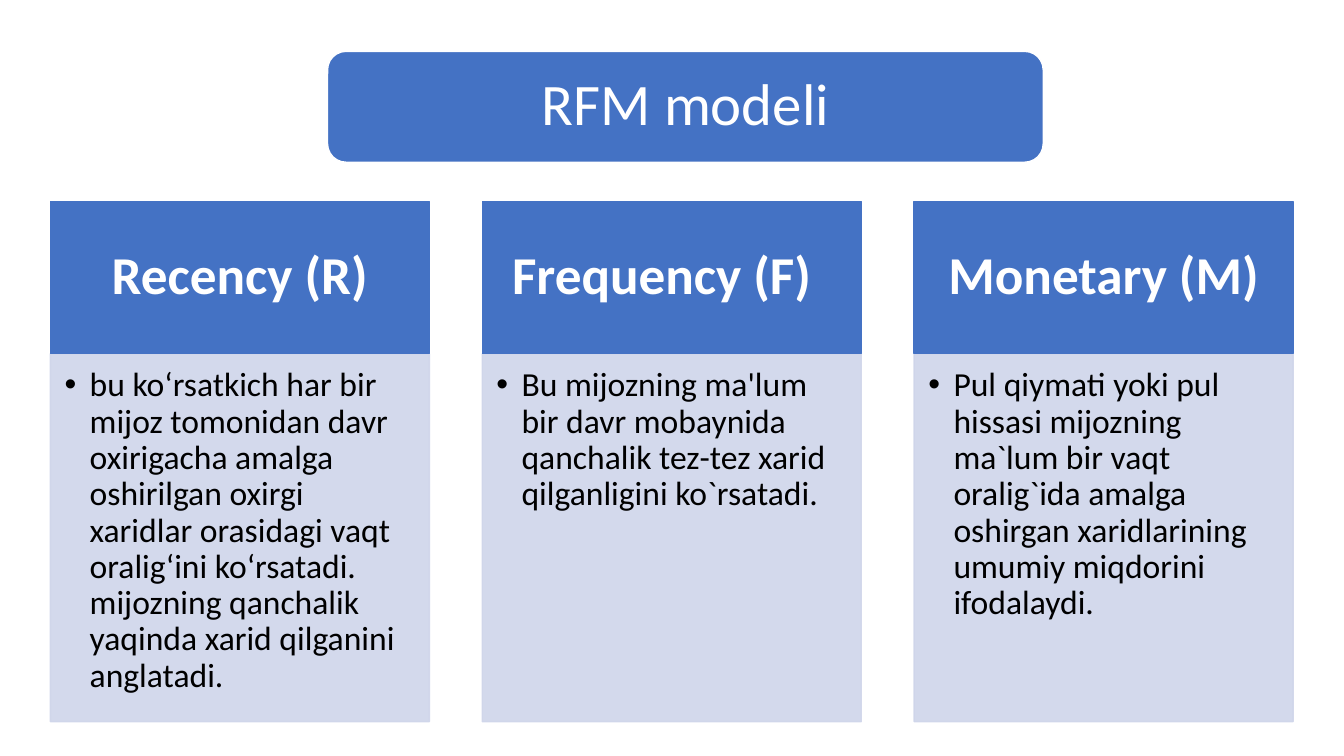
import pptx
import pptx.dml.color
import pptx.enum.shapes
import pptx.enum.text
import pptx.oxml
import pptx.oxml.ns
import pptx.util

Pt = pptx.util.Pt
RGBColor = pptx.dml.color.RGBColor
PP_ALIGN = pptx.enum.text.PP_ALIGN
ANCHOR = pptx.enum.text.MSO_ANCHOR
SHAPE = pptx.enum.shapes.MSO_SHAPE

BLUE = RGBColor(0x44, 0x72, 0xC4)
PALE_BLUE = RGBColor(0xCF, 0xD5, 0xEA)
WHITE = RGBColor(0xFF, 0xFF, 0xFF)
BLACK = RGBColor(0, 0, 0)

COMPARISON_LAYOUT = 4
TITLE_BOX = (234, 36.7, 511.2, 79.2)
COLUMNS_BOX = (36, 144, 887.7, 371.5)
COLUMN_GAP = 37.8
HEAD_HEIGHT = 108.7
LIST_OPACITY = 90

TITLE_FORMAT = {
    "font": {"size": Pt(42), "bold": False, "name": "Calibri"},
    "color": WHITE, "align": PP_ALIGN.CENTER, "anchor": ANCHOR.MIDDLE,
    "insets": (12.2, 12.2, 12.2, 12.2),
}
HEAD_FORMAT = {
    "font": {"size": Pt(38), "bold": True, "name": "Calibri"},
    "color": WHITE, "align": PP_ALIGN.CENTER, "anchor": ANCHOR.MIDDLE,
    "insets": (21.3, 12.2, 21.3, 12.2),
}
LIST_FORMAT = {
    "font": {"size": Pt(24), "bold": False, "name": "Calibri"},
    "color": BLACK, "align": PP_ALIGN.LEFT, "anchor": ANCHOR.TOP,
    "insets": (10.1, 10.1, 13.5, 15.2),
}

MEASURES = [
    ("Recency (R)",
     "bu ko‘rsatkich har bir mijoz tomonidan davr oxirigacha amalga oshirilgan "
     "oxirgi xaridlar orasidagi vaqt oralig‘ini ko‘rsatadi. mijozning qanchalik "
     "yaqinda xarid qilganini anglatadi."),
    ("Frequency (F) \t",
     "Bu mijozning ma'lum bir davr mobaynida qanchalik tez-tez xarid "
     "qilganligini ko`rsatadi."),
    ("Monetary (M)",
     "Pul qiymati yoki pul hissasi mijozning ma`lum bir vaqt oralig`ida amalga "
     "oshirgan xaridlarining umumiy miqdorini ifodalaydi."),
]


def place(shape, box):
    for side, length in zip(("left", "top", "width", "height"), box):
        setattr(shape, side, Pt(length))


def paint(shape, fill, line):
    shape.fill.solid()
    shape.fill.fore_color.rgb = fill
    shape.line.color.rgb = line
    shape.line.width = Pt(1)


def write(shape, text, style):
    frame = shape.text_frame
    frame.word_wrap = True
    frame.auto_size = pptx.enum.text.MSO_AUTO_SIZE.NONE
    frame.vertical_anchor = style["anchor"]
    for side, inset in zip(("left", "top", "right", "bottom"), style["insets"]):
        setattr(frame, f"margin_{side}", Pt(inset))
    paragraph = frame.paragraphs[0]
    for name, value in {"alignment": style["align"], "line_spacing": 0.9,
                        "space_before": Pt(0), "space_after": Pt(0)}.items():
        setattr(paragraph, name, value)
    run = paragraph.add_run()
    run.text = text
    for name, value in style["font"].items():
        setattr(run.font, name, value)
    run.font.color.rgb = style["color"]


def add_bullet(paragraph, indent):
    properties = paragraph._p.get_or_add_pPr()
    properties.set("marL", str(Pt(indent)))
    properties.set("indent", str(-Pt(indent)))
    namespace = pptx.oxml.ns.nsdecls("a")
    for bullet in ('a:buFont {} typeface="Arial"', 'a:buChar {} char="•"'):
        properties.append(pptx.oxml.parse_xml(f"<{bullet.format(namespace)}/>"))


def set_opacity(shape, percent):
    """Make both the fill and the outline partly transparent."""
    for color in shape._element.spPr.iter(pptx.oxml.ns.qn("a:srgbClr")):
        color.append(pptx.oxml.parse_xml(
            f'<a:alpha {pptx.oxml.ns.nsdecls("a")} val="{percent * 1000}"/>'))


def add_panel(slide, kind, box, line):
    panel = slide.shapes.add_shape(kind, *map(Pt, box))
    panel.shadow.inherit = False
    paint(panel, BLUE, line)
    return panel


def build_title(slide, box):
    plate = add_panel(slide, SHAPE.ROUNDED_RECTANGLE, box, WHITE)
    title = slide.shapes.title
    place(title, box)
    write(title, "RFM modeli", TITLE_FORMAT)
    plate._element.addnext(title._element)  # title in front of its plate


def build_column(slide, box, heading, description, body):
    left, top, width, height = box
    head = add_panel(slide, SHAPE.RECTANGLE, (left, top, width, HEAD_HEIGHT), BLUE)
    write(head, heading, HEAD_FORMAT)
    place(body, (left, top + HEAD_HEIGHT, width, height - HEAD_HEIGHT))
    paint(body, PALE_BLUE, PALE_BLUE)
    set_opacity(body, LIST_OPACITY)
    write(body, description, LIST_FORMAT)
    add_bullet(body.text_frame.paragraphs[0], 18)


def build_columns(slide, box):
    left, top, width, height = box
    column_width = (width - COLUMN_GAP * (len(MEASURES) - 1)) / len(MEASURES)
    bodies = list(slide.placeholders)[1:]
    for index, (heading, description) in enumerate(MEASURES):
        column_left = left + index * (column_width + COLUMN_GAP)
        build_column(slide, (column_left, top, column_width, height),
                     heading, description, bodies[index])
    for unused in bodies[len(MEASURES):]:
        unused._element.getparent().remove(unused._element)


def main():
    presentation = pptx.Presentation()
    presentation.slide_width = Pt(960)
    presentation.slide_height = Pt(540)
    slide = presentation.slides.add_slide(
        presentation.slide_layouts[COMPARISON_LAYOUT])
    build_columns(slide, COLUMNS_BOX)
    build_title(slide, TITLE_BOX)
    presentation.save("out.pptx")


if __name__ == "__main__":
    main()
